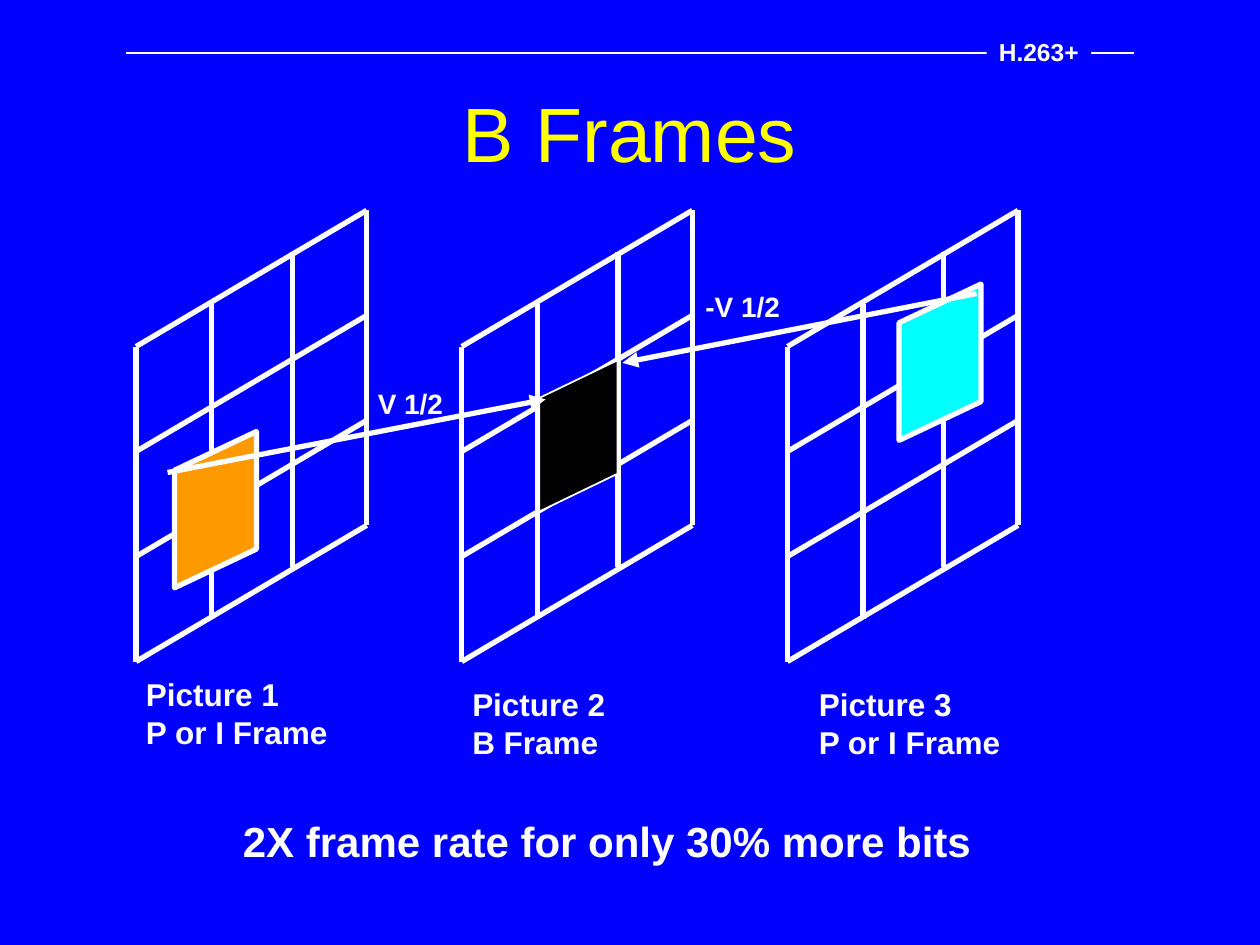
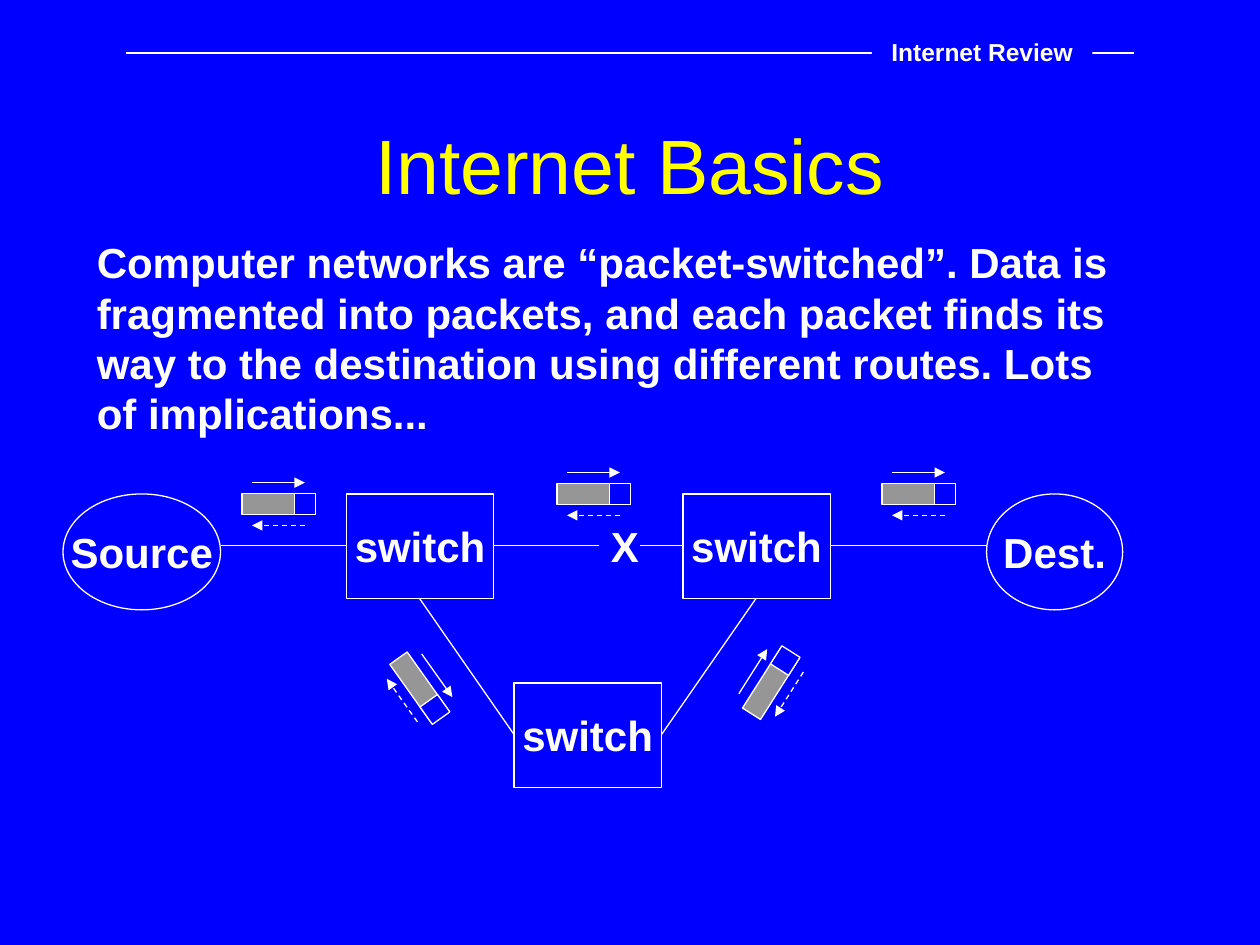
from dataclasses import dataclass
from math import cos, radians, sin

from lxml import etree
from pptx import Presentation
from pptx.dml.color import RGBColor
from pptx.enum.dml import MSO_LINE
from pptx.enum.shapes import MSO_CONNECTOR, MSO_SHAPE
from pptx.enum.text import MSO_ANCHOR, MSO_AUTO_SIZE, PP_ALIGN
from pptx.oxml.ns import qn
from pptx.util import Inches, Pt

BLUE, WHITE, YELLOW = "0000FF", "FFFFFF", "FFFF00"
GRAY, ORANGE, BLACK, CYAN = "969696", "FF9900", "000000", "00FFFF"
FONT = "Arial"
THIN, THICK = 0.75, 3
RECT, OVAL, SLANT = MSO_SHAPE.RECTANGLE, MSO_SHAPE.OVAL, MSO_SHAPE.PARALLELOGRAM
STRAIGHT, DASH = MSO_CONNECTOR.STRAIGHT, MSO_LINE.DASH
LEFT, CENTER = PP_ALIGN.LEFT, PP_ALIGN.CENTER
TOP, MIDDLE = MSO_ANCHOR.TOP, MSO_ANCHOR.MIDDLE
GROW = MSO_AUTO_SIZE.SHAPE_TO_FIT_TEXT

Point = tuple[float, float]


@dataclass
class Box:
    left: float
    top: float
    width: float
    height: float

    def lengths(self) -> list:
        return [Inches(v) for v in (self.left, self.top, self.width, self.height)]


@dataclass
class Label:
    text: str
    box: Box
    size: int = 18
    wrap: bool = False


@dataclass
class Node:
    text: str
    box: Box
    kind: int = RECT


@dataclass
class Block:
    """A moving picture block, standing on its side."""
    box: Box
    skew: float
    fill: str
    weight: float


@dataclass
class Packet:
    x: float
    y: float
    angle: float = 0

    def turn(self, dx: float, dy: float) -> Point:
        """Rotate an offset from the packet centre into slide inches."""
        c, s = cos(radians(self.angle)), sin(radians(self.angle))
        return self.x + dx * c - dy * s, self.y + dx * s + dy * c


def color(code: str) -> RGBColor:
    return RGBColor.from_string(code)


def write(shape, text: str, size: int, tint: str = WHITE, bold: bool = True,
          align=LEFT, anchor=TOP, wrap: bool = True) -> None:
    frame = shape.text_frame
    frame.text = text
    frame.word_wrap = wrap
    frame.vertical_anchor = anchor
    for para in frame.paragraphs:
        para.alignment = align
        for run in para.runs:
            font = run.font
            font.name, font.size, font.bold = FONT, Pt(size), bold
            font.color.rgb = color(tint)


def draw_label(slide, label: Label, align=LEFT, anchor=TOP) -> None:
    shape = slide.shapes.add_textbox(*label.box.lengths())
    write(shape, label.text, label.size, align=align, anchor=anchor, wrap=label.wrap)
    shape.text_frame.auto_size = GROW


def draw_shape(slide, kind: int, box: Box, fill: str = BLUE,
               weight: float = THIN, angle: float = 0):
    shape = slide.shapes.add_shape(kind, *box.lengths())
    shape.shadow.inherit = False
    shape.rotation = angle
    shape.fill.solid()
    shape.fill.fore_color.rgb = color(fill)
    if weight:
        shape.line.color.rgb = color(WHITE)
        shape.line.width = Pt(weight)
    else:
        shape.line.fill.background()
    return shape


def draw_line(slide, start: Point, end: Point, weight: float = THIN,
              arrow: bool = False, dash: bool = False) -> None:
    ends = [Inches(v) for v in (*start, *end)]
    link = slide.shapes.add_connector(STRAIGHT, *ends)
    link.line.color.rgb = color(WHITE)
    link.line.width = Pt(weight)
    if dash:
        link.line.dash_style = DASH
    props = link._element.spPr
    if arrow:
        etree.SubElement(props.find(qn("a:ln")), qn("a:tailEnd"), type="triangle")
    etree.SubElement(props, qn("a:effectLst"))


def draw_node(slide, node: Node) -> None:
    shape = draw_shape(slide, node.kind, node.box)
    write(shape, node.text, 24, align=CENTER, anchor=MIDDLE, wrap=False)


def draw_block(slide, block: Block) -> None:
    shape = draw_shape(slide, SLANT, block.box, block.fill, block.weight, 270)
    shape.adjustments[0] = block.skew
    shape._element.spPr.find(qn("a:xfrm")).set("flipH", "1")


def draw_grid(slide, left: float) -> None:
    """Draw a three by three grid seen from the side."""
    base, tall = 2.75, 2.5
    cols = [(0, 0), (0.6, 0.34), (1.24, 0.75), (1.83, 1.08)]
    wide, rise = cols[-1]
    for row in range(4):
        y = base + row * tall / 3
        draw_line(slide, (left, y), (left + wide, y - rise), THICK)
    for dx, dy in cols:
        x, y = left + dx, base - dy
        draw_line(slide, (x, y), (x, y + tall), THICK)


def draw_packet(slide, packet: Packet) -> None:
    """Draw a packet with its head, a forward arrow and a dashed reply."""
    long, high, reach, gap = 0.58, 0.17, 0.21, 0.17
    for shift, width, fill in ((0, long, GRAY), (reach, high, BLUE)):
        x, y = packet.turn(shift, 0)
        box = Box(x - width / 2, y - high / 2, width, high)
        draw_shape(slide, RECT, box, fill, angle=packet.angle)
    for side, dash in ((1, False), (-1, True)):
        start = packet.turn(-side * reach, -side * gap)
        end = packet.turn(side * reach, -side * gap)
        draw_line(slide, start, end, arrow=True, dash=dash)


def add_slide(deck, title: str, top: float, topic: str, tag: Box):
    """Add a slide with the shared background, topic rule and title."""
    slide = deck.slides.add_slide(deck.slide_layouts[6])
    slide.background.fill.solid()
    slide.background.fill.fore_color.rgb = color(BLUE)
    draw_line(slide, (1, 0.42), (9, 0.42))
    shape = draw_shape(slide, RECT, tag, weight=0)
    write(shape, topic, 14, align=CENTER, anchor=MIDDLE, wrap=False)
    head = slide.shapes.add_textbox(*Box(0.75, top, 8.5, 1.25).lengths())
    write(head, title, 44, YELLOW, False, CENTER, MIDDLE)
    return slide


def build_frames(deck) -> None:
    slide = add_slide(deck, "B Frames", 0.42, "H.263+", Box(7.83, 0.24, 0.83, 0.34))
    for col in range(3):
        draw_grid(slide, 1.08 + col * 2.585)
    for block in (
        Block(Box(1.09, 3.72, 1.24, 0.65), 0.473, ORANGE, THICK),
        Block(Box(3.99, 3.15, 1.2, 0.62), 0.482, BLACK, 1),
        Block(Box(6.84, 2.55, 1.24, 0.65), 0.473, CYAN, THICK),
    ):
        draw_block(slide, block)
    draw_line(slide, (1.33, 3.75), (4.33, 3.17), THICK, arrow=True)
    draw_line(slide, (7.75, 2.33), (4.94, 2.88), THICK, arrow=True)
    for label in (
        Label("Picture 1\nP or I Frame", Box(1.06, 5.31, 1.65, 0.7)),
        Label("Picture 2\nB Frame", Box(3.65, 5.39, 1.26, 0.7)),
        Label("Picture 3\nP or I Frame", Box(6.4, 5.39, 1.65, 0.7)),
        Label("V 1/2", Box(2.9, 3.02, 0.72, 0.37), 16),
        Label("-V 1/2", Box(5.5, 2.25, 0.79, 0.37), 16),
        Label("2X frame rate for only 30% more bits",
              Box(1.83, 6.42, 6.67, 0.5), 24, True),
    ):
        draw_label(slide, label)


def build_basics(deck) -> None:
    slide = add_slide(deck, "Internet Basics", 0.67, "Internet Review",
                      Box(6.92, 0.24, 1.75, 0.34))
    body = slide.shapes.add_textbox(*Box(0.67, 1.83, 8.5, 4.5).lengths())
    write(body, "Computer networks are “packet-switched”. Data is fragmented into "
                "packets, and each packet finds its way to the destination using "
                "different routes. Lots of implications...", 24)
    wire = 4.33
    for start, end in (
        ((1.75, wire), (2.75, wire)),
        ((3.92, wire), (4.75, wire)),
        ((5.08, wire), (5.42, wire)),
        ((6.42, wire), (7.83, wire)),
        ((3.33, 4.75), (4.08, 5.83)),
        ((5.25, 5.83), (6, 4.75)),
    ):
        draw_line(slide, start, end)
    draw_node(slide, Node("Source", Box(0.5, 3.92, 1.25, 0.92), OVAL))
    draw_node(slide, Node("Dest.", Box(7.83, 3.92, 1.08, 0.92), OVAL))
    for left, top in ((2.75, 3.92), (4.08, 5.42), (5.42, 3.92)):
        draw_node(slide, Node("switch", Box(left, top, 1.17, 0.83)))
    for packet in (
        Packet(2.21, 4),
        Packet(4.71, 3.92),
        Packet(7.29, 3.92),
        Packet(6.12, 5.42, 302.4),
        Packet(3.33, 5.46, 54.6),
    ):
        draw_packet(slide, packet)
    draw_label(slide, Label("X", Box(4.75, 4.08, 0.42, 0.5), 24, True), CENTER, MIDDLE)


def main() -> None:
    deck = Presentation()
    deck.slide_width, deck.slide_height = Inches(10), Inches(7.5)
    build_frames(deck)
    build_basics(deck)
    deck.save("out.pptx")


if __name__ == "__main__":
    main()
